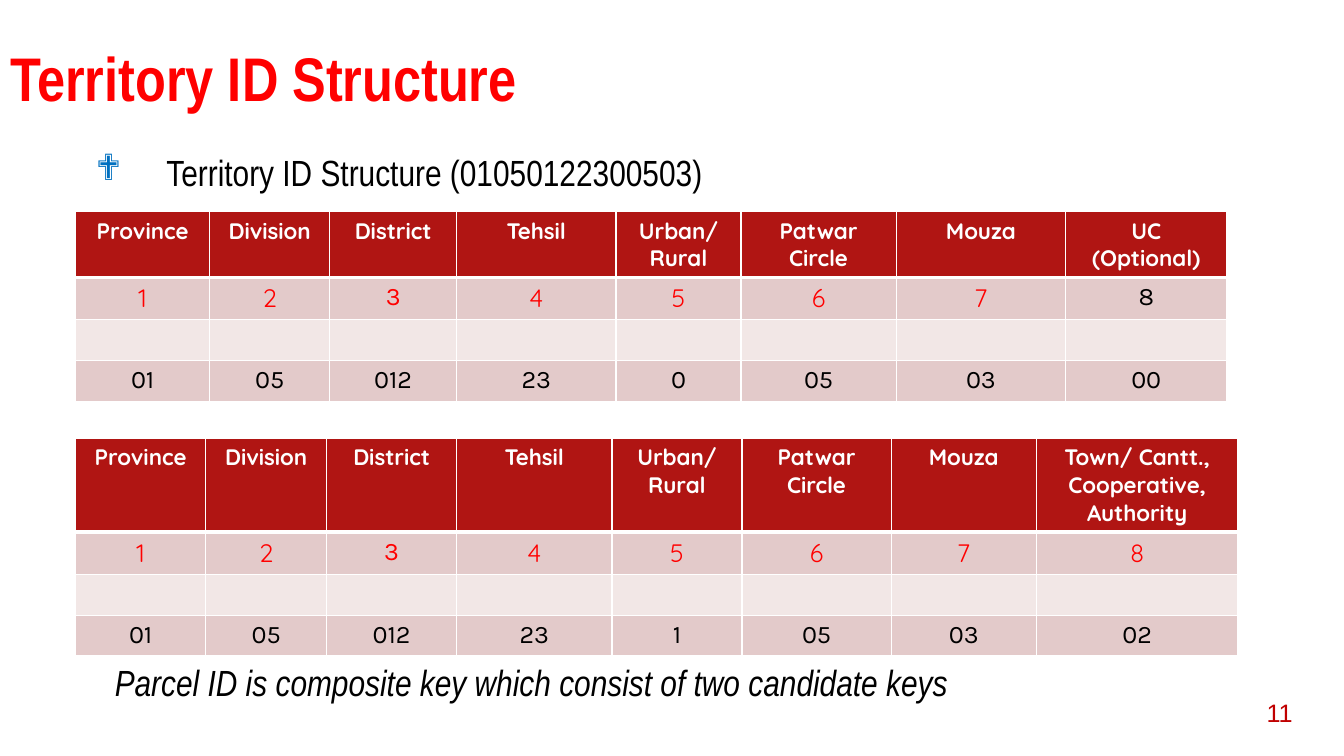
from lxml import etree
from pptx import Presentation
from pptx.dml.color import RGBColor
from pptx.enum.text import MSO_ANCHOR as ANCHOR, MSO_AUTO_SIZE as AUTO, PP_ALIGN as ALIGN
from pptx.oxml.ns import qn
from pptx.util import Inches, Pt

WHITE = RGBColor(0xFF, 0xFF, 0xFF)
BLACK = RGBColor(0, 0, 0)
RED = RGBColor(0xFF, 0, 0)
DARK_RED = RGBColor(0xC0, 0, 0)
BLUE = RGBColor(0, 0x70, 0xC0)
HEADER = RGBColor(0xB0, 0x15, 0x13)
BAND = RGBColor(0xE3, 0xCA, 0xCA)
PALE = RGBColor(0xF2, 0xE7, 0xE6)

LEVELS = ["Province", "Division", "District", "Tehsil", "Urban/ Rural", "Patwar Circle", "Mouza"]


def place(sp, left, top, width, height):
    sp.left, sp.top = Inches(left), Inches(top)
    sp.width, sp.height = Inches(width), Inches(height)


def add_run(p, text, size, font, color, bold=False, italic=False):
    r = p.add_run()
    r.text = text
    f = r.font
    f.size, f.name, f.bold, f.italic = Pt(size), font, bold, italic
    f.color.rgb = color


def set_frame(sp, anchor, align):
    tf = sp.text_frame
    tf.word_wrap = True
    tf.auto_size = AUTO.NONE
    tf.vertical_anchor = anchor
    p = tf.paragraphs[0]
    p.alignment = align
    return p


def set_indent(p, margin, hanging=0):
    pPr = p._p.get_or_add_pPr()
    pPr.set("marL", str(Inches(margin)))
    pPr.set("indent", str(-Inches(hanging)))
    return pPr


def add_bullet(pPr, char, color):
    clr = etree.SubElement(pPr, qn("a:buClr"))
    etree.SubElement(clr, qn("a:srgbClr"), val=str(color))
    etree.SubElement(pPr, qn("a:buFont"), typeface="Wingdings")
    etree.SubElement(pPr, qn("a:buChar"), char=char)


def add_text(slide, box, anchor, align, text, size, font, color, italic=False):
    sp = slide.shapes.add_textbox(*map(Inches, box))
    p = set_frame(sp, anchor, align)
    add_run(p, text, size, font, color, italic=italic)
    return p


def set_borders(cell, row):
    tcPr = cell._tc.get_or_add_tcPr()
    widths = {"L": 1, "R": 1, "T": 3 if row == 1 else 1, "B": 3 if row == 0 else 1}
    for side, width in widths.items():
        ln = etree.SubElement(tcPr, qn("a:ln" + side), w=str(Pt(width)))
        fill = etree.SubElement(ln, qn("a:solidFill"))
        etree.SubElement(fill, qn("a:srgbClr"), val=str(WHITE))


def fill_cell(cell, row, text, size, font, color, bold):
    set_borders(cell, row)
    cell.fill.solid()
    cell.fill.fore_color.rgb = (HEADER, BAND, PALE, BAND)[row]
    tf = cell.text_frame
    for i, line in enumerate(text.split("\n") if text else []):
        p = tf.add_paragraph() if i else tf.paragraphs[0]
        p.alignment = ALIGN.CENTER
        add_run(p, line, size, font, color, bold)


def add_id_table(slide, top, widths, heights, last_level, codes, optional=False):
    size = sum(widths), sum(heights)
    frame = slide.shapes.add_table(4, 8, Inches(0.75), Inches(top), *map(Inches, size))
    table = frame.table
    for col, width in zip(table.columns, widths):
        col.width = Inches(width)
    for row, height in zip(table.rows, heights):
        row.height = Inches(height)
    for c, level in enumerate(LEVELS + [last_level]):
        extra = optional and c == 7
        number_font = "Karla" if c == 2 or extra else "Quicksand"
        column = [
            (level, 16, "Quicksand", WHITE, True),
            (str(c + 1), 18, number_font, BLACK if extra else RED, False),
            ("", 18, "Karla", BLACK, False),
            (codes[c], 18, "Karla", BLACK, False),
        ]
        for r, content in enumerate(column):
            fill_cell(table.cell(r, c), r, *content)


def add_title(slide, text):
    title = slide.shapes.title
    place(title, 0, 0.32, 13.33, 0.97)
    p = set_frame(title, ANCHOR.MIDDLE, ALIGN.LEFT)
    p.line_spacing = 0.9
    add_run(p, text, 44, "Arial Narrow", RED, bold=True)


def add_body(slide, text):
    body = slide.placeholders[1]
    place(body, 0.57, 1.13, 11.5, 0.84)
    p = set_frame(body, ANCHOR.BOTTOM, ALIGN.JUSTIFY)
    p.space_before = Pt(0)
    add_bullet(set_indent(p, 0.98, 0.7), "❖", BLUE)
    add_run(p, text, 26, "Arial Narrow", BLACK)


def main():
    prs = Presentation()
    prs.slide_width, prs.slide_height = Inches(13.33), Inches(7.5)
    s = prs.slides.add_slide(prs.slide_layouts[1])
    add_title(s, "Territory ID Structure")
    add_body(s, "Territory ID Structure (01050122300503)")
    add_text(s, (12.08, 6.87, 0.84, 0.4), ANCHOR.MIDDLE, ALIGN.RIGHT, "11", 18, "Arial", DARK_RED)
    add_id_table(s, 2.1, [1.33, 1.19, 1.26, 1.58, 1.24, 1.54, 1.68, 1.6], [0.63, 0.42, 0.4, 0.4],
                 "UC\n(Optional)", ["01", "05", "012", "23", "0", "05", "03", "00"], optional=True)
    add_id_table(s, 4.35, [1.29, 1.2, 1.29, 1.54, 1.29, 1.48, 1.44, 2], [0.92, 0.42, 0.4, 0.4],
                 "Town/ Cantt., Cooperative, Authority",
                 ["01", "05", "012", "23", "1", "05", "03", "02"])
    p = add_text(s, (0.75, 6.5, 11.5, 0.77), ANCHOR.TOP, ALIGN.JUSTIFY,
                 "Parcel ID is composite key which consist of two candidate keys",
                 26, "Arial Narrow", BLACK, italic=True)
    set_indent(p, 0.29)
    p.space_before = Pt(10)
    prs.save("out.pptx")


if __name__ == "__main__":
    main()
